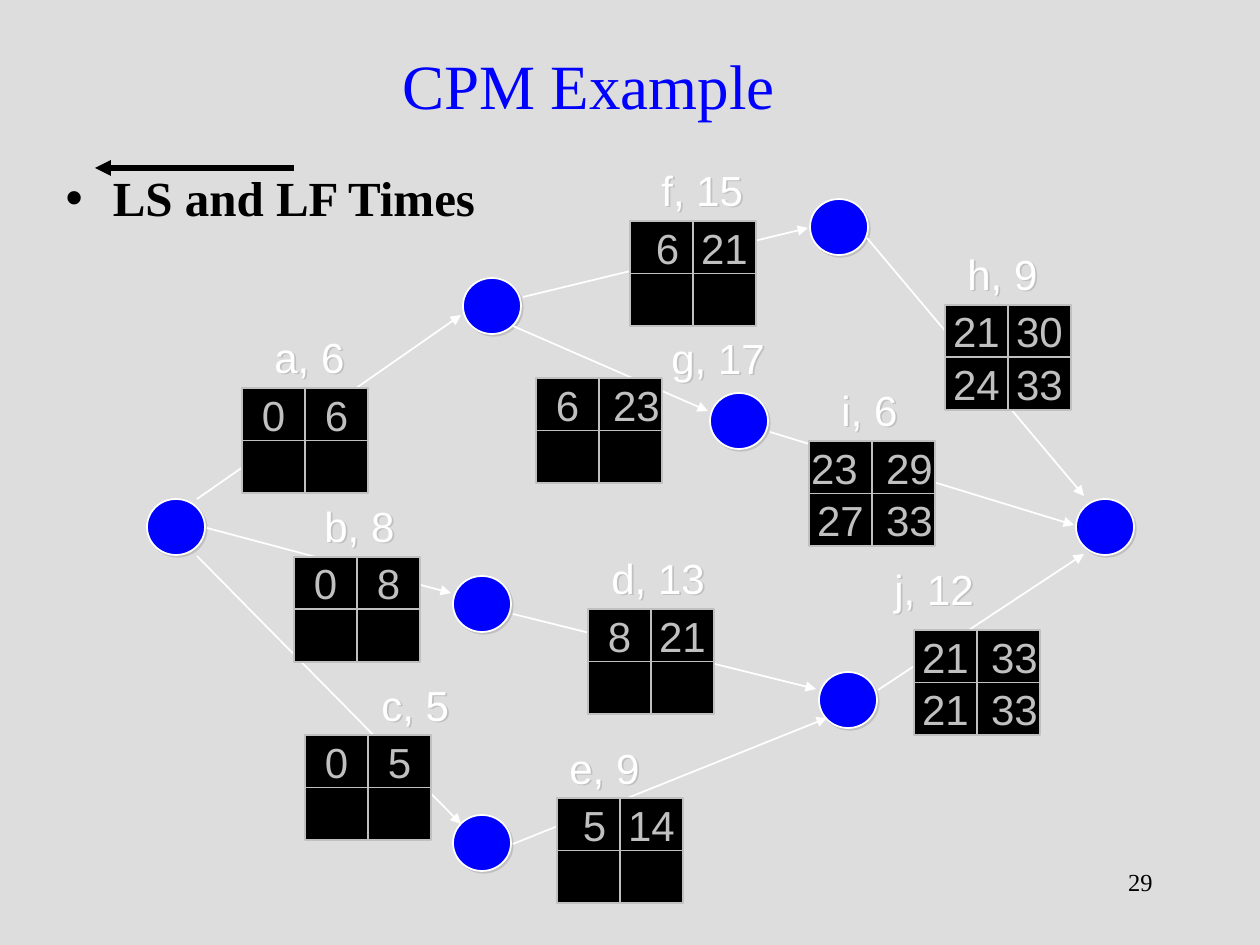
from lxml.etree import SubElement
from pptx import Presentation
from pptx.dml.color import RGBColor
from pptx.enum.shapes import MSO_CONNECTOR, MSO_SHAPE
from pptx.enum.text import MSO_ANCHOR, MSO_AUTO_SIZE, PP_ALIGN
from pptx.oxml.ns import qn
from pptx.util import Emu, Pt

SERIF, SANS = "Times New Roman", "Arial"
BLUE, BLACK, WHITE, GREY = "0000FF", "000000", "FFFFFF", "C0C0C0"
NODE_W, NODE_H = 58, 56
CELL_W, BOX_H = 63, 105

NODES = [(147, 499), (1076, 499), (463, 278), (710, 393),
         (453, 815), (453, 576), (819, 672), (810, 199)]

ARROWS = [
    (197, 499, 461, 315), (523, 297, 808, 228), (867, 238, 1084, 496),
    (513, 326, 708, 411), (770, 432, 1074, 525), (207, 528, 451, 593),
    (513, 614, 816, 689), (197, 556, 461, 824), (513, 844, 827, 718),
    (878, 690, 1084, 554),
]

TASKS = [
    ("a, 6", (262, 325, 95), (242, 388), [("0", "6")]),
    ("f, 15", (649, 158, 107), (630, 221), [("6", "21")]),
    ("b, 8", (312, 494, 95), (294, 557), [("0", "8")]),
    ("c, 5", (369, 673, 93), (305, 735), [("0", "5")]),
    ("e, 9", (557, 736, 95), (557, 798), [("5", "14")]),
    ("d, 13", (599, 546, 120), (588, 609), [("8", "21")]),
    ("g, 17", (659, 326, 120), (536, 378), [("6", "23")]),
    ("h, 9", (955, 242, 95), (945, 305), [("21", "30"), ("24", "33")]),
    ("i, 6", (829, 378, 81), (809, 441), [("23", "29"), ("27", "33")]),
    ("j, 12", (882, 557, 105), (914, 630), [("21", "33"), ("21", "33")]),
]

SHIFTS = {("f", 0, 0): 6, ("e", 0, 0): 6, ("g", 0, 1): 6,
          ("i", 0, 0): -6, ("i", 0, 1): 6, ("i", 1, 1): 6,
          ("j", 0, 1): 6, ("j", 1, 1): 6}


def px(n):
    return Emu(round(n * 914400 / 126))


def tint(code):
    return RGBColor.from_string(code)


def place(shape, x, y, w, h):
    shape.left, shape.top, shape.width, shape.height = map(px, (x, y, w, h))


def write(shape, text, size, face, color, align=PP_ALIGN.LEFT, bold=False):
    frame = shape.text_frame
    frame.text = text
    para = frame.paragraphs[0]
    para.alignment = align
    font = para.font
    font.size, font.name, font.bold = Pt(size), face, bold
    font.color.rgb = tint(color)
    return para


def shade(shape):
    fx = SubElement(shape._element.spPr, qn("a:effectLst"))
    drop = SubElement(fx, qn("a:outerShdw"), dist="17961", dir="2700000",
                      algn="ctr", rotWithShape="0")
    SubElement(drop, qn("a:srgbClr"), val=GREY)


def draw(kind, x, y, w, h, fill, edge):
    shape = slide.shapes.add_shape(kind, px(x), px(y), px(w), px(h))
    shape.fill.solid()
    shape.fill.fore_color.rgb = tint(fill)
    shape.line.color.rgb = tint(edge)
    shape.line.width = Pt(1)
    return shape


def link(ends, color, width, tip):
    line = slide.shapes.add_connector(MSO_CONNECTOR.STRAIGHT, *map(px, ends))
    line.line.color.rgb = tint(color)
    line.line.width = Pt(width)
    SubElement(line.line._get_or_add_ln(), qn(tip), type="triangle")
    SubElement(line._element.spPr, qn("a:effectLst"))


def label(text, x, y, w):
    box = slide.shapes.add_textbox(px(x), px(y), px(w), px(63))
    box.text_frame.word_wrap = False
    box.text_frame.auto_size = MSO_AUTO_SIZE.SHAPE_TO_FIT_TEXT
    write(box, text, 24, SANS, WHITE)
    shade(box)


def cell(text, x, y, shift):
    shape = draw(MSO_SHAPE.RECTANGLE, x, y, CELL_W, BOX_H / 2, BLACK, GREY)
    shape.shadow.inherit = False
    if text:
        frame = shape.text_frame
        frame.word_wrap = False
        frame.vertical_anchor = MSO_ANCHOR.MIDDLE
        frame.margin_left = px(max(2 * shift, 0))
        frame.margin_right = px(max(-2 * shift, 0))
        write(shape, text, 24, SANS, GREY, PP_ALIGN.CENTER)


deck = Presentation()
deck.slide_width, deck.slide_height = px(1260), px(945)
slide = deck.slides.add_slide(deck.slide_layouts[1])
slide.background.fill.solid()
slide.background.fill.fore_color.rgb = tint("DDDDDD")

page = slide.shapes.add_textbox(px(903), px(861), px(262), px(63))
page.text_frame.word_wrap = True
write(page, "29", 14, SERIF, BLACK, PP_ALIGN.RIGHT)

title, body = slide.placeholders
place(title, 53, 32, 1071, 105)
title.text_frame.auto_size = MSO_AUTO_SIZE.NONE
title.text_frame.vertical_anchor = MSO_ANCHOR.MIDDLE
write(title, "CPM Example", 36, SERIF, BLUE, PP_ALIGN.CENTER)

place(body, 53, 168, 1071, 68)
body.text_frame.auto_size = MSO_AUTO_SIZE.NONE
item = body.text_frame.paragraphs[0]
props = item._p.get_or_add_pPr()
props.set("marL", str(px(47)))
props.set("indent", str(-px(47)))
dot = SubElement(props, qn("a:buClr"))
SubElement(dot, qn("a:srgbClr"), val=BLACK)
SubElement(props, qn("a:buChar"), char="•")
item = write(body, "LS and LF Times", 28, SERIF, BLACK, bold=True)
item.line_spacing = 0.9
item.space_before = Pt(0)

link((95, 168, 294, 168), BLACK, 3, "a:headEnd")
for x, y in NODES:
    shade(draw(MSO_SHAPE.OVAL, x, y, NODE_W, NODE_H, BLUE, WHITE))
for ends in ARROWS:
    link(ends, WHITE, 1, "a:tailEnd")
for name, spot, (left, top), times in TASKS:
    label(name, *spot)
    rows = (times + [("", "")])[:2]
    for r, row in enumerate(rows):
        for c, text in enumerate(row):
            shift = SHIFTS.get((name[0], r, c), 0)
            cell(text, left + c * CELL_W, top + r * BOX_H / 2, shift)

deck.save("out.pptx")
